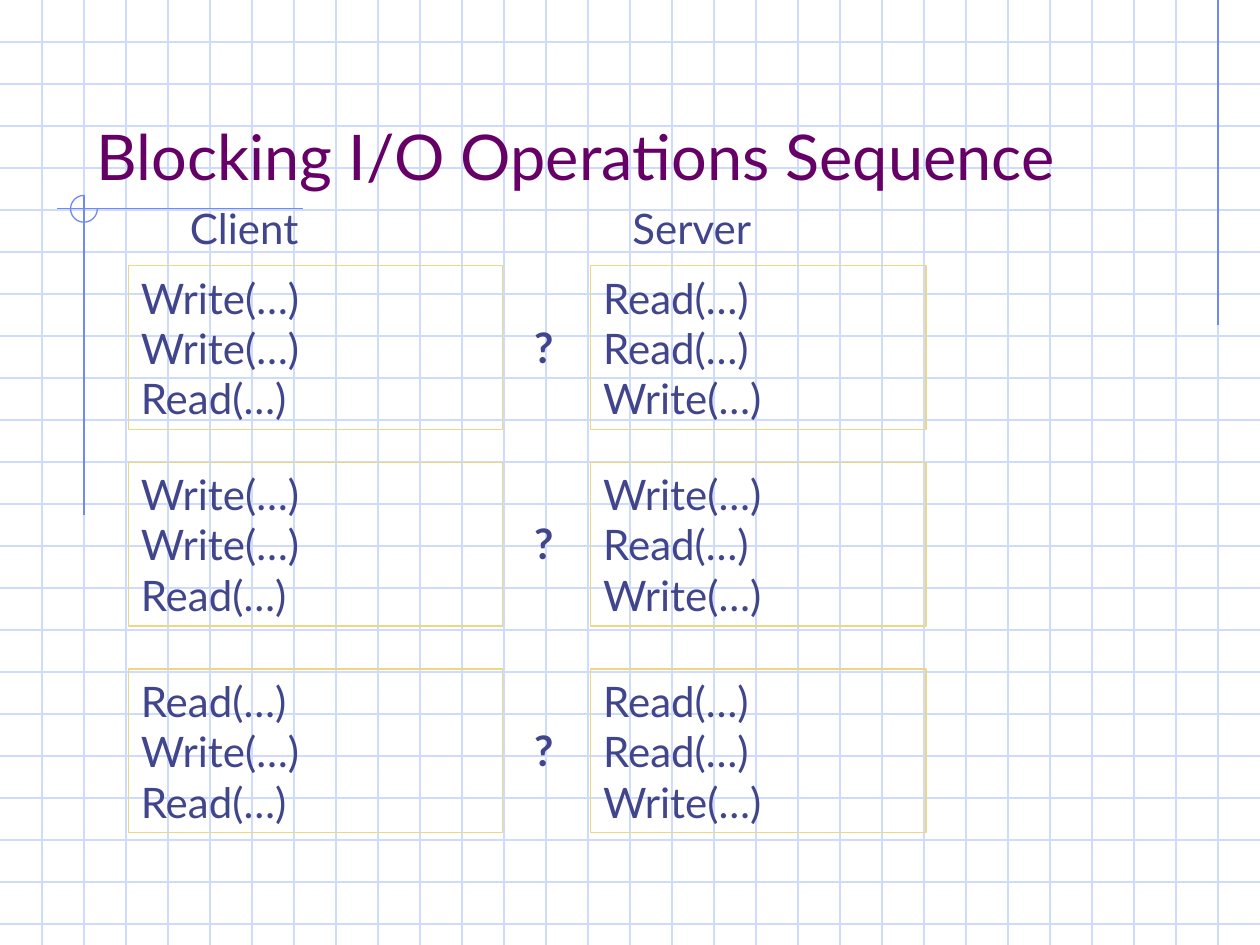
from collections import namedtuple
from dataclasses import dataclass

from lxml import etree
from pptx import Presentation
from pptx.dml.color import RGBColor
from pptx.enum import shapes, text
from pptx.oxml import ns
from pptx.util import Cm, Pt

Box = namedtuple("Box", "left top width height")


@dataclass(frozen=True)
class Theme:
    """Colours, font and sizes of the slide."""
    font: str = "Lato"
    heading: RGBColor = RGBColor(0x66, 0x00, 0x66)
    body: RGBColor = RGBColor(0x40, 0x45, 0x8C)
    frame: RGBColor = RGBColor(0xEC, 0xD8, 0x82)
    grid: RGBColor = RGBColor(0xCF, 0xDB, 0xFD)
    accent: RGBColor = RGBColor(0x6F, 0x89, 0xF7)
    heading_size: Pt = Pt(36)
    body_size: Pt = Pt(24)
    stroke: Pt = Pt(0.75)


THEME = Theme()
PAGE = Box(0, 0, Cm(25.4), Cm(19.05))
CELL = PAGE.width / 30
CLIENT_LEFT, CLIENT_WIDTH = Cm(2.59), Cm(7.54)
SERVER_LEFT, SERVER_WIDTH = Cm(11.91), Cm(6.76)
ROW_HEIGHT = Cm(3.3)
SEQUENCES = [
    (Cm(5.36), ["Write", "Write", "Read"], ["Read", "Read", "Write"]),
    (Cm(9.32), ["Write", "Write", "Read"], ["Write", "Read", "Write"]),
    (Cm(13.49), ["Read", "Write", "Read"], ["Read", "Read", "Write"]),
]


def write_lines(frame, lines, size=THEME.body_size, color=THEME.body, bold=False):
    """Write each line as a left-aligned paragraph with one run."""
    frame.word_wrap = True
    for index, line in enumerate(lines):
        paragraph = frame.add_paragraph() if index else frame.paragraphs[0]
        paragraph.alignment = text.PP_ALIGN.LEFT
        run = paragraph.add_run()
        run.text = line
        run.font.name, run.font.size, run.font.bold = THEME.font, size, bold
        run.font.color.rgb = color


def rule(slide, start, end, color):
    """Draw a thin straight line without a shadow."""
    line = slide.shapes.add_connector(
        shapes.MSO_CONNECTOR.STRAIGHT, *(round(v) for v in (*start, *end)))
    line.line.color.rgb, line.line.width = color, THEME.stroke
    etree.SubElement(line._element.spPr, ns.qn("a:effectLst"))


def outline(slide, kind, box, color):
    """Draw an unfilled preset shape."""
    shape = slide.shapes.add_shape(kind, *box)
    shape.shadow.inherit = False
    shape.fill.background()
    shape.line.color.rgb, shape.line.width = color, THEME.stroke
    return shape


def label(slide, box, wording, bold=False):
    """Place a short text box."""
    frame = slide.shapes.add_textbox(*box).text_frame
    write_lines(frame, [wording], bold=bold)
    frame.auto_size = text.MSO_AUTO_SIZE.SHAPE_TO_FIT_TEXT


def graph_paper(slide, box):
    """Fill the box with square grid lines."""
    right, bottom = box.left + box.width, box.top + box.height
    for step in range(1, int(box.height / CELL) + 1):
        y = box.top + step * CELL
        rule(slide, (box.left, y), (right, y), THEME.grid)
    for step in range(1, int(box.width / CELL)):
        x = box.left + step * CELL
        rule(slide, (x, box.top), (x, bottom), THEME.grid)


def accents(slide, box):
    """Draw the margin line and the crosshair with its open circle."""
    margin, axis = box.left + 29 * CELL, box.left + 2 * CELL
    level, radius = box.top + Cm(4.21), Cm(0.27)
    rule(slide, (margin, box.top), (margin, box.top + Cm(6.55)), THEME.accent)
    rule(slide, (box.left + Cm(6.1), level), (box.left + Cm(1.14), level), THEME.accent)
    rule(slide, (axis, level - radius), (axis, box.top + Cm(10.39)), THEME.accent)
    circle = Box(round(axis - radius), level - radius, 2 * radius, 2 * radius)
    arc = outline(slide, shapes.MSO_SHAPE.ARC, circle, THEME.accent)
    arc.adjustments[0], arc.adjustments[1] = 0, 162


def heading(slide, box, wording):
    """Format the title placeholder and bring it above the grid."""
    title = slide.shapes.title
    title.left, title.top, title.width, title.height = box
    title.text_frame.vertical_anchor = text.MSO_ANCHOR.BOTTOM
    write_lines(title.text_frame, [wording], THEME.heading_size, THEME.heading)
    slide.shapes._spTree.append(title._element)


def calls(slide, box, operations):
    """Frame one side's list of calls."""
    frame = outline(slide, shapes.MSO_SHAPE.RECTANGLE, box, THEME.frame).text_frame
    frame.vertical_anchor = text.MSO_ANCHOR.TOP
    write_lines(frame, [f"{operation}(…)" for operation in operations])
    frame.auto_size = text.MSO_AUTO_SIZE.SHAPE_TO_FIT_TEXT


def sequence(slide, box, client, server):
    """Place client calls, a question mark and server calls in a row."""
    server_left = box.left + box.width - SERVER_WIDTH
    calls(slide, Box(box.left, box.top, CLIENT_WIDTH, box.height), client)
    calls(slide, Box(server_left, box.top, SERVER_WIDTH, box.height), server)
    question = Box(box.left + Cm(7.93), box.top + Cm(0.99), Cm(1.19), Cm(1.27))
    label(slide, question, "?", bold=True)


def main():
    """Build and save the slide."""
    deck = Presentation()
    deck.slide_width, deck.slide_height = PAGE.width, PAGE.height
    slide = deck.slides.add_slide(deck.slide_layouts[5])
    graph_paper(slide, PAGE)
    accents(slide, PAGE)
    heading(slide, Box(Cm(1.7), Cm(0.84), Cm(21.59), Cm(3.18)),
            "Blocking I/O Operations Sequence")
    for left, side in ((Cm(3.58), "Client"), (Cm(12.5), "Server")):
        label(slide, Box(left, Cm(3.96), Cm(3.18), Cm(1.27)), side)
    row_width = SERVER_LEFT + SERVER_WIDTH - CLIENT_LEFT
    for top, client, server in SEQUENCES:
        sequence(slide, Box(CLIENT_LEFT, top, row_width, ROW_HEIGHT), client, server)
    deck.save("out.pptx")


if __name__ == "__main__":
    main()
